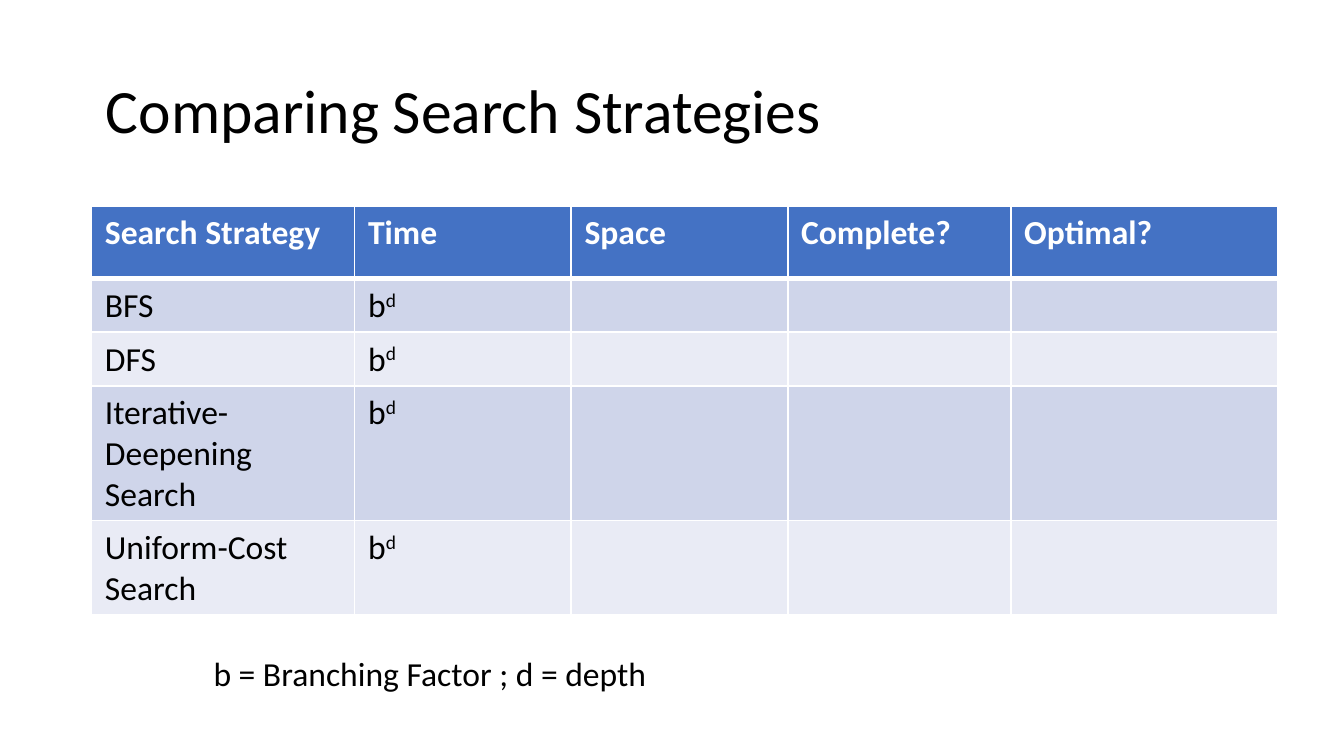
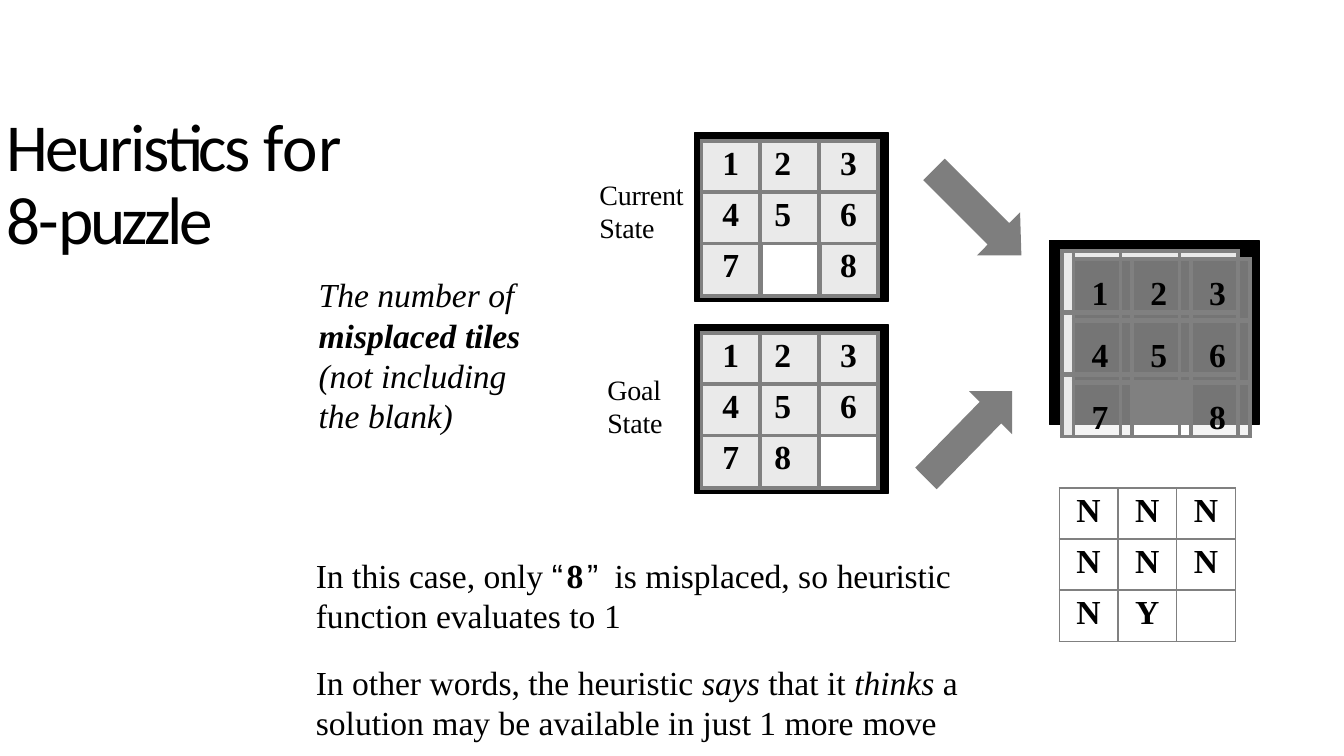
import pptx
import pptx.dml.color
import pptx.enum.shapes
import pptx.enum.text
import pptx.oxml.ns
import pptx.util
from dataclasses import dataclass
from lxml import etree

Pt = pptx.util.Pt
qn = pptx.oxml.ns.qn
CENTER = pptx.enum.text.PP_ALIGN.CENTER
RIGHT = pptx.enum.text.PP_ALIGN.RIGHT
MIDDLE = pptx.enum.text.MSO_ANCHOR.MIDDLE


@dataclass(frozen=True)
class Theme:
    sans: str = "Calibri"
    serif: str = "Times New Roman"
    quote: str = "Arial"
    black: str = "000000"
    white: str = "FFFFFF"
    header: str = "4472C4"
    band_dark: str = "CFD5EA"
    band_light: str = "E9EBF5"
    tile: str = "EAEAEA"
    grid: str = "808080"
    arrow: str = "7E7E7E"
    title: float = 33
    big_title: float = 36
    body: float = 18
    label: float = 15
    tiny: float = 2


T = Theme()

# Content: a paragraph is text or a dict of runs; a run is text or (text, format)
COMPARE_TITLE = "Comparing Search Strategies"
HEADINGS = ["Search Strategy", "Time", "Space", "Complete?", "Optimal?"]
STRATEGIES = ["BFS", "DFS", "Iterative-Deepening Search", "Uniform-Cost Search"]
TIME = [{"runs": ["b", ("d", {"base": 30})]}]
LEGEND = "b = Branching Factor ; d = depth"

PUZZLE_TITLE = [{"runs": [
    ("Heuristics ", {"spc": -1.4}), "for ", "\v",
    ("8-", {"spc": -1.3}), ("puzzle", {"spc": -2})]}]
RULE = [{"runs": [
    "The number ", ("of ", {"spc": -0.2}), ("misplaced ", {"bold": True}),
    ("tiles ", {"bold": True, "spc": -0.1}), "(not ",
    ("including ", {"spc": -0.1}), "the ", ("blank)", {"spc": -0.1})]}]
EXPLANATION = [
    {"line": Pt(21.5), "runs": [
        "In this case, only ", ("“", {"font": T.quote, "spc": 1.9}),
        ("8", {"bold": True, "spc": 1.9}), ("” ", {"font": T.quote, "spc": 1.9}),
        "is misplaced, so ", ("heuristic", {"spc": -0.1})]},
    {"line": Pt(21.5), "runs": [
        "function evaluates to ", ("1", {"spc": -0.4})]},
    {"before": 14.4, "runs": [
        "In other words, the heuristic ", ("says ", {"italic": True}), "that it ",
        ("thinks ", {"italic": True}), ("a ", {"spc": -0.4}),
        "solution may be available in just 1 more ", ("move", {"spc": -0.1})]},
]
CURRENT = ["123", "456", "7 8"]
GOAL = ["123", "456", "78 "]
MISPLACED = ["NNN", "NNN", "NY "]
STATE_LABELS = [("Current State", (320.4, 94.3, 48, 37.4)),
                ("Goal\nState", (324.7, 198.7, 31.7, 37.4))]
ARROWS = [
    [(506.2, 85), (494.6, 96.5), (529.2, 131), (523.4, 136.8),
     (547.2, 136.8), (546.5, 113.8), (540.7, 119.5)],
    [(542.2, 209.5), (519.1, 209.5), (524.9, 215.3), (490.3, 250.6),
     (501.8, 262.1), (536.4, 226.8), (542.2, 232.6)],
]


def rgb(color):
    return pptx.dml.color.RGBColor.from_string(color)


def write(frame, text, font=T.sans, size=T.body, color=T.black, bold=False,
          italic=False, spc=0, align=None, line=None):
    """Fill a text frame; formats given on runs and paragraphs win."""
    paragraphs = text.split("\n") if isinstance(text, str) else text
    for i, part in enumerate(paragraphs):
        part = {"runs": [part]} if isinstance(part, str) else part
        paragraph = frame.paragraphs[0] if i == 0 else frame.add_paragraph()
        paragraph.alignment = align
        paragraph.line_spacing = part.get("line", line)
        if "before" in part:
            paragraph.space_before = Pt(part["before"])
        for item in part["runs"]:
            words, own = (item, {}) if isinstance(item, str) else item
            if words == "\v":
                paragraph.add_line_break()
            elif words:
                run = paragraph.add_run()
                run.text = words
                run.font.name = own.get("font", font)
                run.font.size = Pt(size)
                run.font.color.rgb = rgb(color)
                run.font.bold = own.get("bold", bold)
                run.font.italic = own.get("italic", italic)
                properties = run.font._element
                if own.get("spc", spc):
                    properties.set("spc", str(round(own.get("spc", spc) * 100)))
                if "base" in own:
                    properties.set("baseline", str(own["base"] * 1000))
            else:
                etree.SubElement(paragraph._p, qn("a:endParaRPr"),
                                 sz=str(round(size * 100)))


def text_box(slide, text, at, tight=True, anchor=None, grow=True, **style):
    frame = slide.shapes.add_textbox(*map(Pt, at)).text_frame
    frame.word_wrap = True
    if grow:
        frame.auto_size = pptx.enum.text.MSO_AUTO_SIZE.SHAPE_TO_FIT_TEXT
    if anchor is not None:
        frame.vertical_anchor = anchor
    if tight:
        frame.margin_left = frame.margin_top = Pt(0.7)
        frame.margin_right = frame.margin_bottom = 0
    write(frame, text, **style)


def paint(cell, color, opacity=100):
    if color is None:
        cell.fill.background()
        return
    cell.fill.solid()
    cell.fill.fore_color.rgb = rgb(color)
    if opacity < 100:
        value = cell._tc.tcPr.find(".//" + qn("a:srgbClr"))
        etree.SubElement(value, qn("a:alpha"), val=str(opacity * 1000))


def border(cell, color, widths):
    """Put the cell's lines before its fill, in the order L, R, T, B."""
    properties = cell._tc.get_or_add_tcPr()
    for i, side in enumerate("LRTB"):
        edge = etree.Element(qn("a:ln" + side), w=str(Pt(widths[side])))
        if widths[side]:
            solid = etree.SubElement(edge, qn("a:solidFill"))
            etree.SubElement(solid, qn("a:srgbClr"), val=color)
        else:
            etree.SubElement(edge, qn("a:noFill"))
        properties.insert(i, edge)


def grid(slide, at, cols, rows, rules, side, line_color, fill, merges=(), own_edges=None):
    """Table with one width per horizontal rule and one for all vertical lines."""
    table = slide.shapes.add_table(len(rows), len(cols), *map(Pt, at),
                                   Pt(sum(cols)), Pt(sum(rows))).table
    table.first_row = table.horz_banding = False
    for column, width in zip(table.columns, cols):
        column.width = Pt(width)
    for row, height in zip(table.rows, rows):
        row.height = Pt(height)
    for first, last in merges:
        table.cell(*first).merge(table.cell(*last))
    for r in range(len(rows)):
        for c in range(len(cols)):
            cell = table.cell(r, c)
            if cell.is_spanned:
                continue
            paint(cell, *fill(r, c))
            bottom = r + (cell.span_height if cell.is_merge_origin else 1)
            widths = {"L": side, "R": side, "T": rules[r], "B": rules[bottom]}
            border(cell, line_color, widths | (own_edges or {}).get((r, c), {}))
    return table


def tile_text(cell, text, align=CENTER, right=0, **style):
    cell.margin_left = cell.margin_bottom = 0
    cell.margin_top = Pt(2.2 if text else 0)
    cell.margin_right = Pt(right)
    write(cell.text_frame, text, font=T.serif, bold=True, align=align, **style)


def fill_tiles(table, board, middle):
    for r, line in enumerate(board):
        for c, mark in enumerate(line):
            tile_text(table.cell(r, c), mark.strip(), **(middle if c == 1 else {}))


def black_frame(slide, at):
    frame = slide.shapes.add_shape(pptx.enum.shapes.MSO_SHAPE.RECTANGLE, *map(Pt, at))
    frame.shadow.inherit = False
    frame.fill.solid()
    frame.fill.fore_color.rgb = frame.line.color.rgb = rgb(T.black)
    frame.line.width = Pt(0.75)


def puzzle_board(slide, board, top, own_edges=None):
    left = 372.2
    black_frame(slide, (left, top, 103.7, 90))
    table = grid(slide, (left + 3.6, top + 4.3), [31.5] * 3, [27.4, 27.4, 28.1],
                 [2.25] * 4, 2.25, T.grid,
                 lambda r, c: (T.white if board[r][c] == " " else T.tile,),
                 own_edges=own_edges)
    fill_tiles(table, board, {"align": RIGHT, "right": 15})


def overlay_board(slide):
    """The two boards laid over each other: tiles in odd rows and columns."""
    def fill(r, c):
        if (r, c) == (0, 6):
            return (T.black,)
        if r == 0 or c == 0:
            return (T.tile,)
        return (T.white if r == 5 and c in (3, 4) else T.tile, 50)

    merges = [((r, 0), (r + 1, 0)) for r in (0, 2, 4)]
    merges += [((r, 6), (r + 1, 6)) for r in (1, 3)]
    merges += [((0, c), (0, c + 1)) for c in (2, 4)]
    table = grid(slide, (568.8, 134.6), [6.3, 25.2] * 3 + [6.3],
                 [4.3, 23, 4.3, 22.3, 4.3, 27.4], [2.25, 2.25, 3, 3, 3, 3, 2.25],
                 2.25, T.grid, fill, merges, {(0, 6): {"R": 0, "T": 0}})
    for r in range(6):
        for c in range(7):
            mark = CURRENT[r // 2][c // 2].strip() if r % 2 and c % 2 else ""
            if mark:
                tile_text(table.cell(r, c), mark, align=RIGHT, right=6.5, line=Pt(26.6))
            else:
                tile_text(table.cell(r, c), "", size=T.tiny)


def block_arrow(slide, points):
    start, *rest = [tuple(map(Pt, point)) for point in points]
    builder = slide.shapes.build_freeform(*start, scale=1.0)
    builder.add_line_segments(rest, close=True)
    arrow = builder.convert_to_shape()
    arrow.shadow.inherit = False
    arrow.fill.solid()
    arrow.fill.fore_color.rgb = rgb(T.arrow)
    arrow.line.fill.background()


def compare_slide(slide):
    text_box(slide, COMPARE_TITLE, (49.7, 21.6, 620.6, 78.5), tight=False,
             anchor=MIDDLE, grow=False, size=T.title, line=0.9)

    # Strategy table
    bands = [T.header] + [T.band_dark, T.band_light] * 2
    table = grid(slide, (49, 110.2), [141, 116, 116, 119.5, 143.3],
                 [39, 24, 22, 72, 39], [1, 3, 1, 1, 1, 1], 1, T.white,
                 lambda r, c: (bands[r],))
    lines = [HEADINGS] + [[name, TIME, "", "", ""] for name in STRATEGIES]
    for r, line in enumerate(lines):
        style = {} if r else {"color": T.white, "bold": True}
        for c, entry in enumerate(line):
            write(table.cell(r, c).text_frame, entry, **style)

    text_box(slide, LEGEND, (107.3, 346.3, 530, 28.8), tight=False)


def puzzle_slide(slide):
    black_frame(slide, (562.3, 128.9, 112.3, 98.6))
    text_box(slide, PUZZLE_TITLE, (2.9, 55.4, 241.2, 87.8), anchor=MIDDLE,
             size=T.big_title, line=0.9)
    text_box(slide, RULE, (170, 146.2, 110.2, 87.8), font=T.serif, italic=True)

    # Current and goal boards, thicker lines beside the current blank
    puzzle_board(slide, CURRENT, 71.3,
                 {(2, 0): {"R": 3}, (2, 1): {"L": 3, "R": 3}, (2, 2): {"L": 3}})
    puzzle_board(slide, GOAL, 174.2)
    text_box(slide, EXPLANATION, (168.5, 296.6, 344.9, 100.8), font=T.serif)
    for label, at in STATE_LABELS:
        text_box(slide, label, at, font=T.serif, size=T.label, spc=-0.1)

    # Comparison and its result
    overlay_board(slide)
    for points in ARROWS:
        block_arrow(slide, points)
    result = grid(slide, (567.4, 261.4), [31.5] * 3, [27.4] * 3,
                  [0.75, 1.5, 1, 0.75], 0.75, T.grid, lambda r, c: (None,))
    fill_tiles(result, MISPLACED, {})


def main():
    deck = pptx.Presentation()
    deck.slide_width, deck.slide_height = Pt(720), Pt(405)
    for build in (compare_slide, puzzle_slide):
        build(deck.slides.add_slide(deck.slide_layouts[6]))
    deck.save("out.pptx")


if __name__ == "__main__":
    main()
